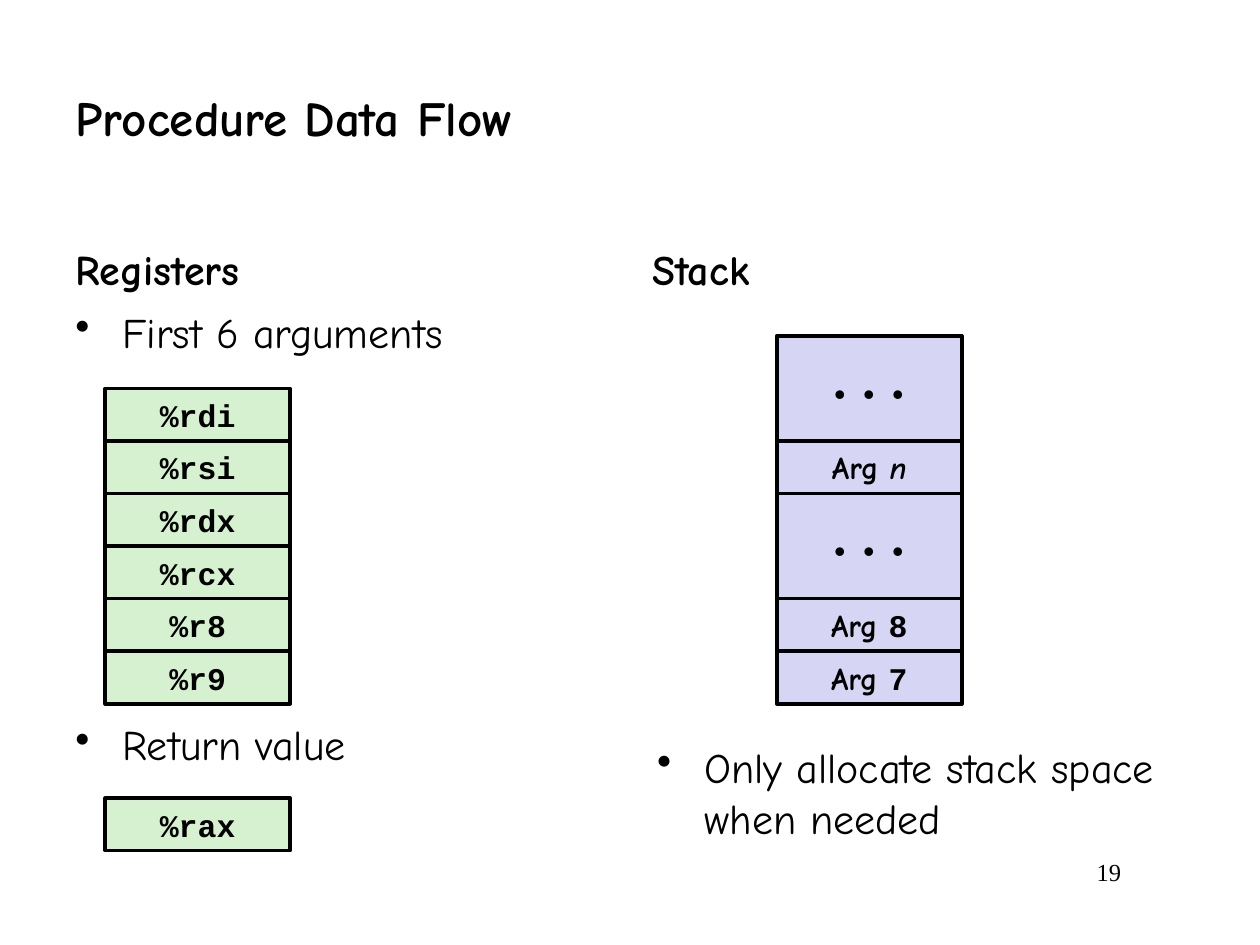
from lxml import etree
from pptx import Presentation
from pptx.dml.color import RGBColor
from pptx.enum.shapes import MSO_SHAPE
from pptx.enum.text import MSO_ANCHOR, MSO_AUTO_SIZE, PP_ALIGN
from pptx.oxml.ns import qn
from pptx.util import Cm, Pt

RECTANGLE = MSO_SHAPE.RECTANGLE
TOP, MIDDLE, BOTTOM = MSO_ANCHOR.TOP, MSO_ANCHOR.MIDDLE, MSO_ANCHOR.BOTTOM
LEFT, CENTER, RIGHT = PP_ALIGN.LEFT, PP_ALIGN.CENTER, PP_ALIGN.RIGHT
NO_AUTOFIT = MSO_AUTO_SIZE.NONE
HAND, CODE, SERIF = "Comic Neue", "Courier New", "Times New Roman"
BLACK, GREEN, LILAC = "000000", "D5F1CF", "D6D6F4"


def color(hex_string):
    return RGBColor.from_string(hex_string)


def add_run(paragraph, text, font_name, size, bold=False, italic=False):
    run = paragraph.add_run()
    run.text = text
    run.font.name = font_name
    run.font.size = Pt(size)
    run.font.bold = bold
    run.font.italic = italic
    run.font.color.rgb = color(BLACK)


presentation = Presentation()
presentation.slide_width = Cm(25.4)
presentation.slide_height = Cm(19.05)
slide = presentation.slides.add_slide(presentation.slide_layouts[5])

title = slide.shapes.title
title.left, title.top, title.width, title.height = Cm(1.27), Cm(0.76), Cm(22.86), Cm(3.18)
title.text_frame.auto_size = NO_AUTOFIT
title.text_frame.vertical_anchor = MIDDLE
title_paragraph = title.text_frame.paragraphs[0]
title_paragraph.alignment = LEFT
add_run(title_paragraph, "Procedure Data Flow", HAND, 28, bold=True)

column_width = Cm(11.23)
for heading, left in (("Registers", 1.27), ("Stack", 12.9)):
    box = slide.shapes.add_textbox(Cm(left), Cm(4.27), column_width, Cm(1.78))
    box.text_frame.word_wrap = True
    box.text_frame.vertical_anchor = BOTTOM
    paragraph = box.text_frame.paragraphs[0]
    paragraph.space_before = Pt(4.8)
    add_run(paragraph, heading, HAND, 24, bold=True)

bullet_lists = [
    (1.27, 6.05, 10.97, [("First 6 arguments", 4.8), ("Return value", 207)]),
    (13, 14.83, 2.6, [("Only allocate stack space when needed", 4.8)]),
]
for left, top, height, items in bullet_lists:
    box = slide.shapes.add_textbox(Cm(left), Cm(top), column_width, Cm(height))
    text_frame = box.text_frame
    text_frame.word_wrap = True
    text_frame.vertical_anchor = TOP
    for index, (text, space_before) in enumerate(items):
        paragraph = text_frame.add_paragraph() if index else text_frame.paragraphs[0]
        paragraph.space_before = Pt(space_before)
        add_run(paragraph, text, HAND, 24)
        properties = paragraph._p.get_or_add_pPr()
        properties.set("marL", str(Cm(0.95)))
        properties.set("indent", str(-Cm(0.95)))
        etree.SubElement(properties, qn("a:buChar")).set("char", "•")

row_height = 1.06
cell_width = 3.73
registers_left, registers_top = 2.12, 7.83
stack_left, stack_top = 15.66, registers_top - row_height

cells = []
for row, register in enumerate(("%rdi", "%rsi", "%rdx", "%rcx", "%r8", "%r9")):
    top = registers_top + row * row_height
    cells.append((slide.shapes, registers_left, top, 1, GREEN, [(register, CODE, 18, False)]))
cells.append((slide.shapes, registers_left, 16.09, 1, GREEN, [("%rax", CODE, 18, False)]))

stack_group = slide.shapes.add_group_shape()
arg = ("Arg ", HAND, 18, False)
dots = [("• • •", HAND, 24, False)]
stack_rows = [
    (2, dots),
    (1, [arg, ("n", HAND, 18, True)]),
    (2, dots),
    (1, [arg, ("8", CODE, 18, False)]),
    (1, [arg, ("7", CODE, 18, False)]),
]
top = stack_top
for row_span, runs in stack_rows:
    cells.append((stack_group.shapes, stack_left, top, row_span, LILAC, runs))
    top += row_span * row_height

for shapes, left, top, row_span, fill, runs in cells:
    cell = shapes.add_shape(RECTANGLE, Cm(left), Cm(top), Cm(cell_width), Cm(row_span * row_height))
    cell.shadow.inherit = False
    cell.fill.solid()
    cell.fill.fore_color.rgb = color(fill)
    cell.line.color.rgb = color(BLACK)
    cell.line.width = Pt(2)
    text_frame = cell.text_frame
    text_frame.word_wrap = True
    text_frame.vertical_anchor = MIDDLE
    inset = Cm(0.1) if row_span == 1 else 0
    text_frame.margin_left = text_frame.margin_right = inset
    text_frame.margin_top = text_frame.margin_bottom = inset
    paragraph = text_frame.paragraphs[0]
    paragraph.alignment = CENTER
    for text, font_name, size, italic in runs:
        add_run(paragraph, text, font_name, size, bold=True, italic=italic)

page_number = slide.shapes.add_textbox(Cm(19.25), Cm(17.15), Cm(3.6), Cm(1.27))
page_number.text_frame.word_wrap = True
page_paragraph = page_number.text_frame.paragraphs[0]
page_paragraph.alignment = RIGHT
add_run(page_paragraph, "19", SERIF, 14)

presentation.save("out.pptx")
